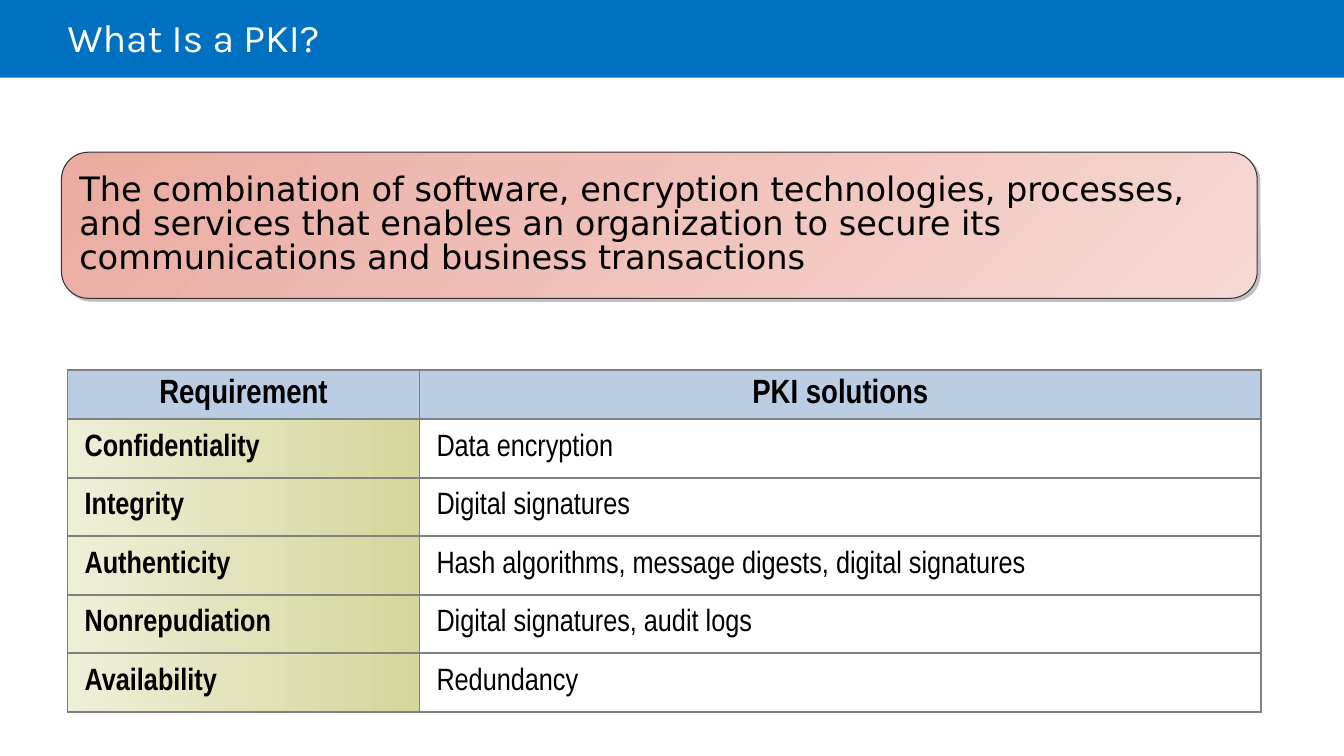
"""Build the slide that defines a PKI and maps requirements to solutions."""
from lxml import etree
from pptx import Presentation
from pptx import util as u
from pptx.dml.color import RGBColor
from pptx.enum import shapes, text
from pptx.oxml import parse_xml
from pptx.oxml.ns import qn

TITLE = "What Is a PKI?"
DEFINITION = (
    "The combination of software, encryption technologies, processes, and services "
    "that enables an organization to secure its communications and business transactions"
)
ROWS = [
    ("Requirement", "PKI solutions"),
    ("Confidentiality", "Data encryption"),
    ("Integrity", "Digital signatures"),
    ("Authenticity", "Hash algorithms, message digests, digital signatures"),
    ("Nonrepudiation", "Digital signatures, audit logs"),
    ("Availability", "Redundancy"),
]
COLORS = {
    "band": "0070C0", "white": "FFFFFF", "black": "000000", "header": "BBCDE3",
    "olive_light": "EEEFD7", "olive": "D5D69C", "border": "808080",
    "rose": "EAABA0", "rose_light": "F6D9D4", "outline": "333333", "shadow": "C0C0C0",
}
COL_WIDTHS = (3.49, 8.35)
HEADER_HEIGHT, ROW_HEIGHT = 0.49, 0.58
NS = 'xmlns:a="http://schemas.openxmlformats.org/drawingml/2006/main"'


def rgb(name):
    return RGBColor.from_string(COLORS[name])


def box(left, top, width, height):
    return [u.Inches(v) for v in (left, top, width, height)]


def set_solid(fill, name):
    fill.solid()
    fill.fore_color.rgb = rgb(name)


def set_gradient(fill, start, end, angle):
    fill.gradient()
    fill.gradient_angle = angle
    for stop, name, position in zip(fill.gradient_stops, (start, end), (0, 1)):
        stop.color.rgb = rgb(name)
        stop.position = position


def set_text(tf, content, font, size, color, spacing, bold=False, align=text.PP_ALIGN.LEFT):
    tf.text = content
    tf.word_wrap = True
    p = tf.paragraphs[0]
    p.alignment = align
    p.line_spacing = spacing
    r = p.runs[0]
    r.font.name, r.font.size, r.font.bold = font, u.Pt(size), bold
    r.font.color.rgb = rgb(color)


def add_borders(cell):
    tcPr = cell._tc.get_or_add_tcPr()
    for side in ("lnL", "lnR", "lnT", "lnB"):
        tcPr.append(parse_xml(
            f'<a:{side} {NS} w="{u.Pt(1.5)}"><a:solidFill>'
            f'<a:srgbClr val="{COLORS["border"]}"/></a:solidFill></a:{side}>'))


def add_title(s):
    band = s.shapes.add_shape(shapes.MSO_SHAPE.RECTANGLE, *box(0, 0, 13.33, 0.77))
    band.shadow.inherit = False
    set_solid(band.fill, "band")
    band.line.fill.background()
    tf = s.shapes.add_textbox(*box(0.67, 0, 11.34, 0.81)).text_frame
    tf.margin_left = 0
    tf.vertical_anchor = text.MSO_ANCHOR.MIDDLE
    set_text(tf, TITLE, "Karla", 28, "white", 0.85)


def add_table(s):
    height = HEADER_HEIGHT + ROW_HEIGHT * (len(ROWS) - 1)
    frame = s.shapes.add_table(
        len(ROWS), len(COL_WIDTHS), *box(0.67, 3.67, sum(COL_WIDTHS), height))
    table = frame.table
    table.horz_banding = False
    for column, width in zip(table.columns, COL_WIDTHS):
        column.width = u.Inches(width)
    for i, row in enumerate(ROWS):
        header = i == 0
        table.rows[i].height = u.Inches(HEADER_HEIGHT if header else ROW_HEIGHT)
        for j, content in enumerate(row):
            cell = table.cell(i, j)
            cell.margin_left = cell.margin_right = u.Inches(0.17)
            cell.vertical_anchor = text.MSO_ANCHOR.MIDDLE
            align = text.PP_ALIGN.CENTER if header else text.PP_ALIGN.LEFT
            set_text(cell.text_frame, content, "Arial Narrow", 24 if header else 22,
                     "black", 0.9, header or j == 0, align)
            add_borders(cell)
            if header or j:
                set_solid(cell.fill, "header" if header else "white")
            else:
                set_gradient(cell.fill, "olive_light", "olive", 0)


def add_definition(s):
    sp = s.shapes.add_shape(
        shapes.MSO_SHAPE.ROUNDED_RECTANGLE, *box(0.61, 1.51, 11.86, 1.45))
    sp.adjustments[0] = 0.185
    set_gradient(sp.fill, "rose", "rose_light", 315)
    sp.line.color.rgb = rgb("outline")
    sp.line.width = u.Pt(0.75)
    sp.shadow.inherit = False
    effects = sp._element.spPr.find(qn("a:effectLst"))
    shadow = etree.SubElement(effects, qn("a:outerShdw"), dist=str(u.Pt(2.8)),
                              dir=str(45 * 60000), algn="ctr", rotWithShape="0")
    etree.SubElement(shadow, qn("a:srgbClr"), val=COLORS["shadow"])
    sp.text_frame.vertical_anchor = text.MSO_ANCHOR.MIDDLE
    set_text(sp.text_frame, DEFINITION, "DejaVu Sans", 24, "black", 0.85)


def main():
    prs = Presentation()
    prs.slide_width, prs.slide_height = u.Inches(13.33), u.Inches(7.5)
    s = prs.slides.add_slide(prs.slide_layouts[6])
    add_title(s)
    add_table(s)
    add_definition(s)
    prs.save("out.pptx")


if __name__ == "__main__":
    main()
